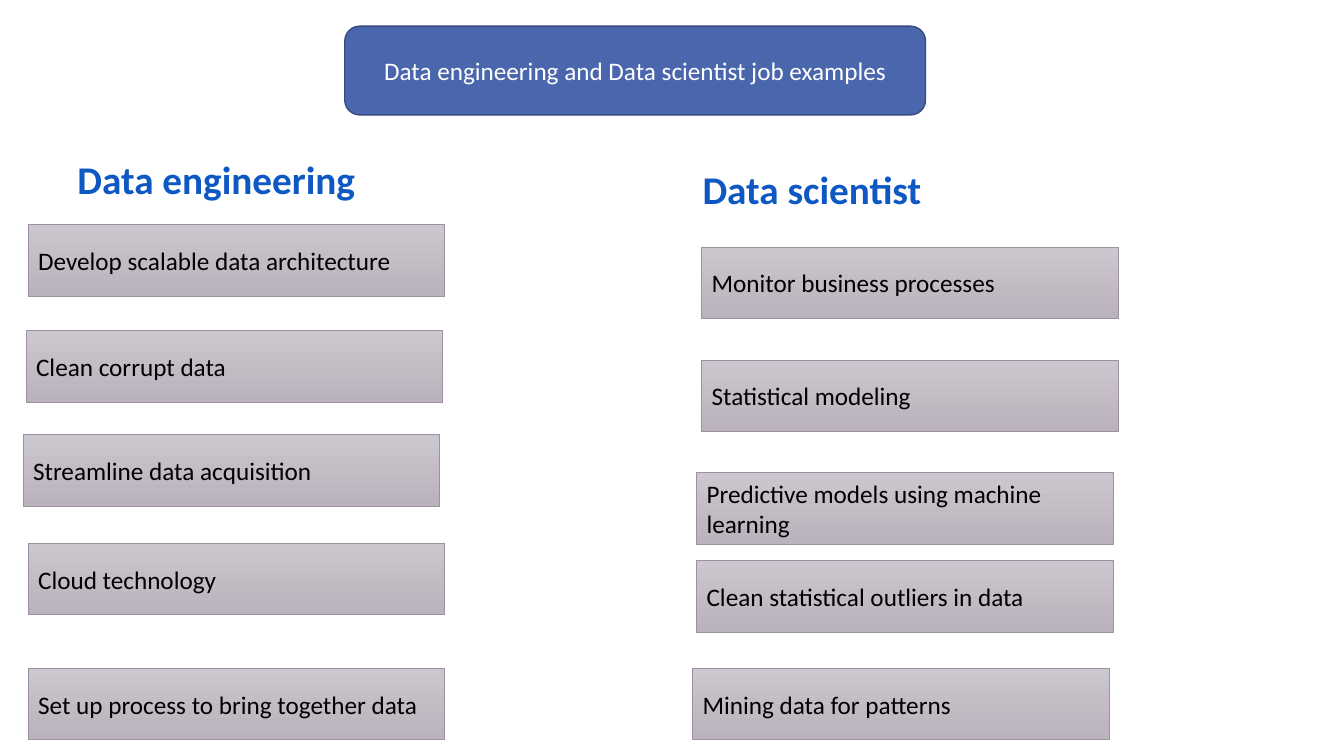
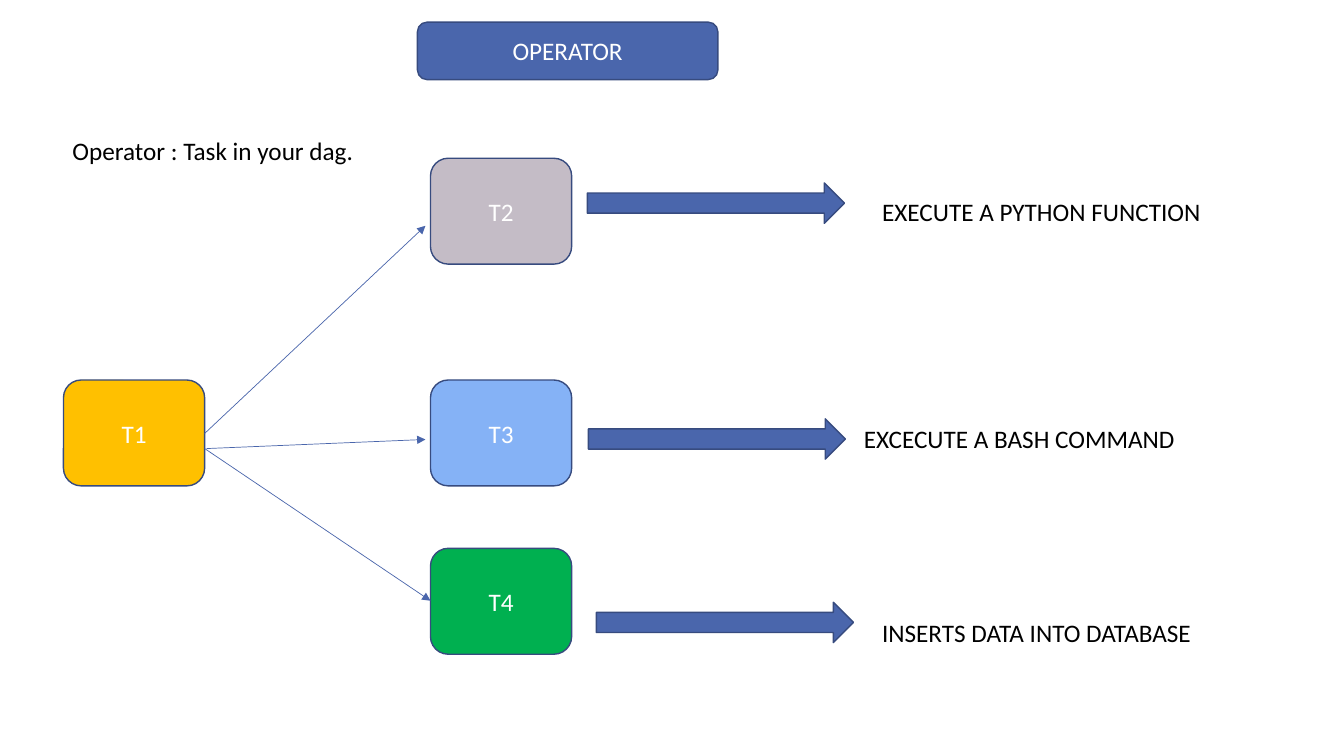
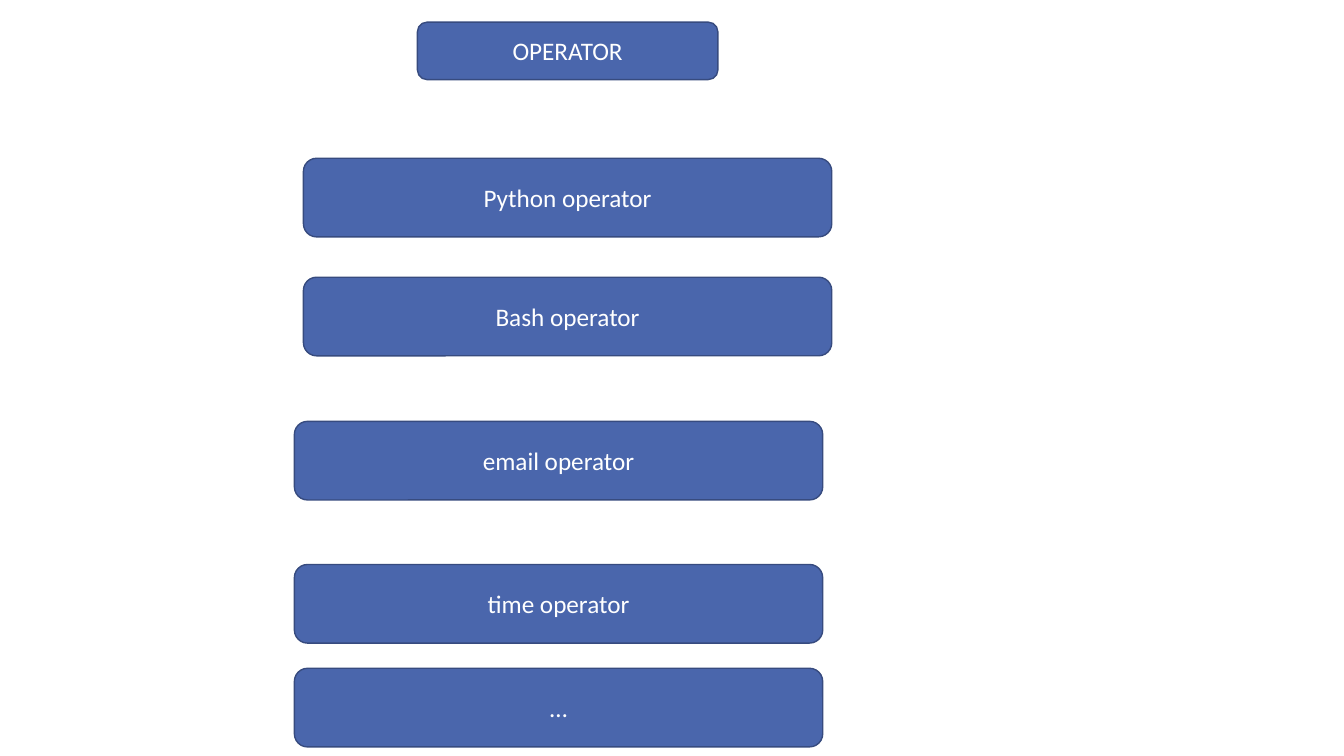
"""Build three slides on data jobs and workflow operators."""
from pptx import Presentation
from pptx.dml.color import RGBColor
from pptx.enum.shapes import MSO_CONNECTOR, MSO_SHAPE as SHAPE
from pptx.enum.text import MSO_ANCHOR as ANCHOR, MSO_AUTO_SIZE as AUTO, PP_ALIGN as ALIGN
from pptx.oxml.ns import qn
from pptx.util import Inches, Pt
from lxml.etree import SubElement

COLORS = {
    "blue": "4A66AC", "outline": "374B7F", "heading": "0E58C4",
    "card_top": "CCC6CE", "card_bottom": "BAB2BC", "card_line": "9D90A0",
    "amber": "FFC000", "mauve": "C4BCC6", "sky": "85B2F6", "green": "00B050",
    "white": "FFFFFF", "black": "000000",
}
BODY = {"name": "Calibri", "size": Pt(18), "bold": False}
HEADING = {**BODY, "size": Pt(28), "bold": True}

JOBS_TITLE = ("Data engineering and Data scientist job examples", (3.42, 0.26, 5.76, 0.88))
OPERATOR_TITLE = ("OPERATOR", (4.14, 0.22, 2.98, 0.57))

CARD_SIZE = (4.13, 0.71)
JOBS = [
    ("Data engineering", (0.67, 1.49), [
        ("Develop scalable data architecture", (0.28, 2.23)),
        ("Clean corrupt data", (0.26, 3.28)),
        ("Streamline data acquisition", (0.23, 4.31)),
        ("Cloud technology", (0.28, 5.39)),
        ("Set up process to bring together data", (0.28, 6.63)),
    ]),
    ("Data scientist", (6.87, 1.59), [
        ("Monitor business processes", (6.96, 2.45)),
        ("Statistical modeling", (6.96, 3.57)),
        ("Predictive models using machine learning", (6.91, 4.69)),
        ("Clean statistical outliers in data", (6.91, 5.56)),
        ("Mining data for patterns", (6.87, 6.63)),
    ]),
]

DEFINITION = ("Operator : Task in your dag.", (0.62, 1.29))
TASK_SIZE = (1.4, 1.05)
TASKS = [
    ("T1", "amber", (0.63, 3.77)),
    ("T2", "mauve", (4.27, 1.57)),
    ("T3", "sky", (4.27, 3.77)),
    ("T4", "green", (4.27, 5.44)),
]
LINKS = [
    ((2.03, 4.3), (4.22, 2.24)),
    ((2.05, 4.45), (4.22, 4.36)),
    ((2.03, 4.45), (4.27, 5.96)),
]
NOTE_SIZE = (3.48, 0.4)
ARROW_SIZE = (0.4, 2.55)
ACTIONS = [
    ("EXECUTE A PYTHON FUNCTION", (8.65, 1.9), (6.9, 0.74)),
    ("EXCECUTE A BASH COMMAND", (8.47, 4.15), (6.91, 3.08)),
    ("INSERTS DATA INTO DATABASE", (8.65, 6.08), (6.99, 4.9)),
]

OPERATOR_SIZE = (5.24, 0.78)
OPERATORS = [
    ("Python operator", (3.01, 1.57)),
    ("Bash operator", (3.01, 2.75)),
    ("email operator", (2.92, 4.18)),
    ("time operator", (2.92, 5.6)),
    ("…", (2.92, 6.63)),
]


def rgb(color):
    return RGBColor.from_string(COLORS[color])


def inches(values):
    return [Inches(value) for value in values]


def write(holder, text, color, style=BODY, align=ALIGN.LEFT):
    frame = holder.text_frame
    frame.word_wrap = True
    line = frame.paragraphs[0]
    line.alignment = align
    run = line.add_run()
    run.text = text
    for key, value in style.items():
        setattr(run.font, key, value)
    run.font.color.rgb = rgb(color)


def add_box(slide, kind, place, fill="blue", line="outline", width=1):
    box = slide.shapes.add_shape(kind, *inches(place))
    box.shadow.inherit = False
    box.fill.solid()
    box.fill.fore_color.rgb = rgb(fill)
    box.line.color.rgb = rgb(line)
    box.line.width = Pt(width)
    box.text_frame.vertical_anchor = ANCHOR.MIDDLE
    return box


def add_block(slide, text, place, fill="blue"):
    block = add_box(slide, SHAPE.ROUNDED_RECTANGLE, place, fill)
    write(block, text, "white", align=ALIGN.CENTER)


def add_card(slide, text, place):
    card = add_box(slide, SHAPE.RECTANGLE, place, "card_top", "card_line", 0.5)
    card.fill.gradient()
    card.fill.gradient_angle = 270
    for stop, position, color in zip(card.fill.gradient_stops, (0, 1), ("card_top", "card_bottom")):
        stop.position = position
        stop.color.rgb = rgb(color)
    write(card, text, "black")


def add_label(slide, text, place, color="black", style=BODY):
    label = slide.shapes.add_textbox(*inches(place))
    write(label, text, color, style)
    label.text_frame.auto_size = AUTO.SHAPE_TO_FIT_TEXT


def add_link(slide, start, end):
    link = slide.shapes.add_connector(MSO_CONNECTOR.STRAIGHT, *inches(start + end))
    link.line.color.rgb = rgb("blue")
    link.line.width = Pt(0.5)
    SubElement(link.line._get_or_add_ln(), qn("a:tailEnd"), type="triangle")
    SubElement(link._element.spPr, qn("a:effectLst"))


deck = Presentation()
deck.slide_width, deck.slide_height = Inches(13.33), Inches(7.5)


def add_slide(title):
    slide = deck.slides.add_slide(deck.slide_layouts[6])
    add_block(slide, *title)
    return slide


jobs = add_slide(JOBS_TITLE)
for role, corner, duties in JOBS:
    add_label(jobs, role, corner + (3.84, 0.57), "heading", HEADING)
    for duty, spot in duties:
        add_card(jobs, duty, spot + CARD_SIZE)

flow = add_slide(OPERATOR_TITLE)
definition, corner = DEFINITION
add_label(flow, definition, corner + NOTE_SIZE)
for task, color, corner in TASKS:
    add_block(flow, task, corner + TASK_SIZE, color)
for start, end in LINKS:
    add_link(flow, start, end)
for action, corner, arrow_corner in ACTIONS:
    add_label(flow, action, corner + NOTE_SIZE)
    arrow = add_box(flow, SHAPE.DOWN_ARROW, arrow_corner + ARROW_SIZE)
    arrow.rotation = 270

operators = add_slide(OPERATOR_TITLE)
for operator, corner in OPERATORS:
    add_block(operators, operator, corner + OPERATOR_SIZE)

deck.save("out.pptx")
